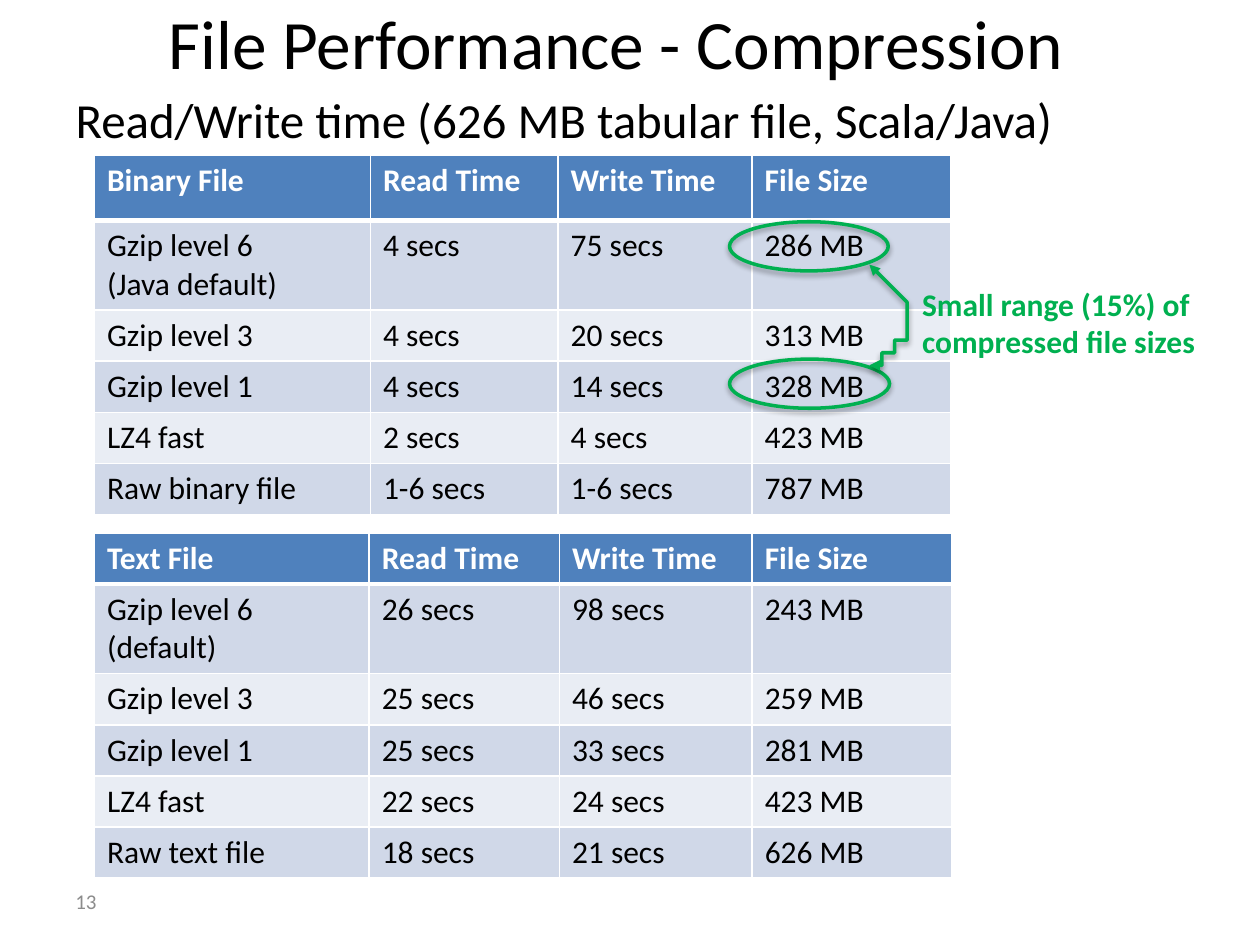
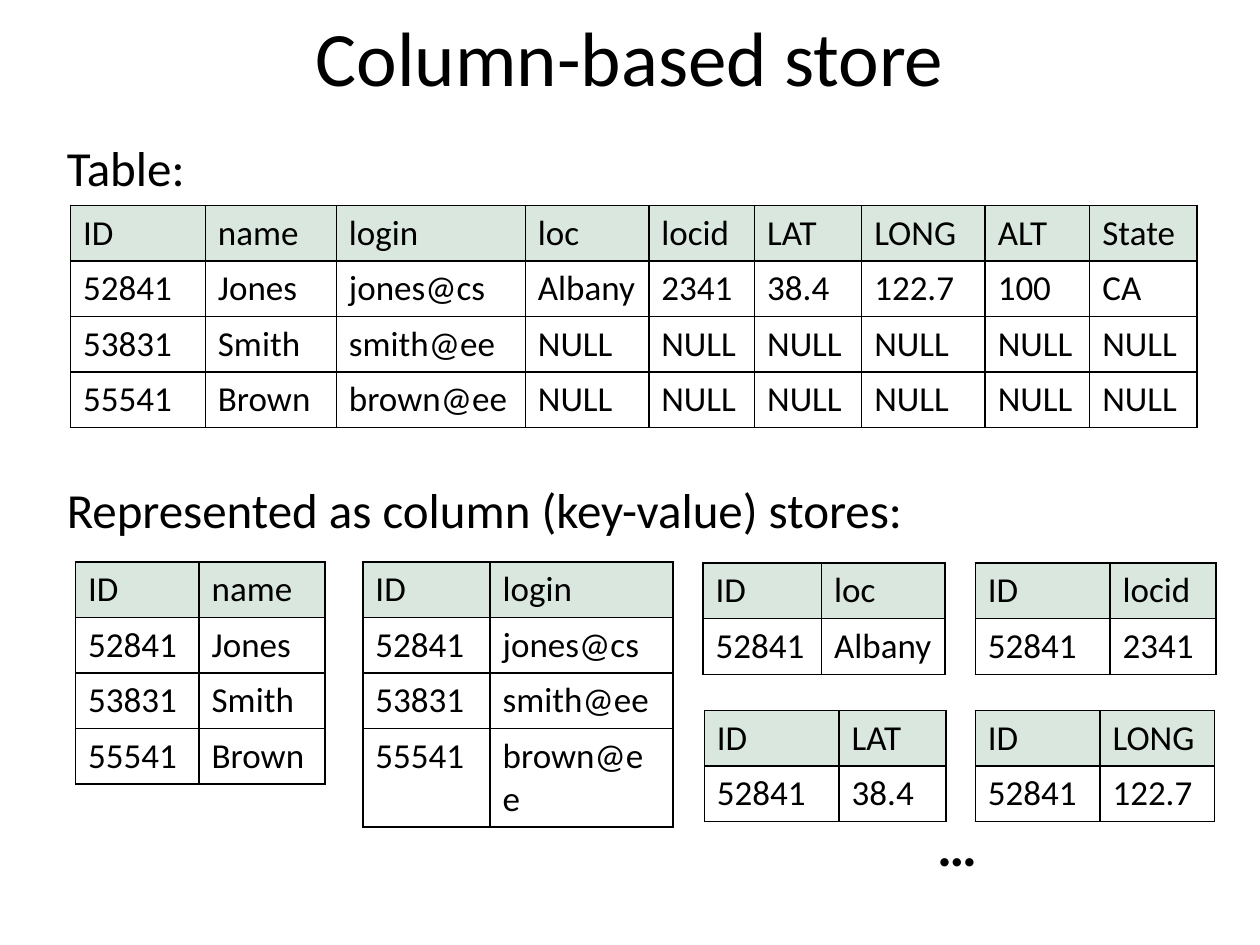
from dataclasses import dataclass

from lxml import etree
from pptx import Presentation
from pptx import util as u
from pptx.dml.color import RGBColor
from pptx.enum import shapes, text
from pptx.oxml import ns


@dataclass(frozen=True)
class Theme:
    font: str = "Calibri"
    black: str = "000000"
    white: str = "FFFFFF"
    grey: str = "8C8C8C"
    green: str = "00B050"
    blue: str = "4F81BD"
    bands: tuple = ("D0D8E8", "E9EDF4")
    mint: str = "D9E7DF"
    title: float = 44
    small_title: float = 39.6
    ellipsis: float = 32
    body: float = 28
    store_cell: float = 20
    cell: float = 18
    page: float = 12


theme = Theme()
presentation = Presentation()
presentation.slide_width, presentation.slide_height = u.Inches(10), u.Inches(7.5)
GRID = presentation.slide_width // 100  # the slide is 100 columns by 75 rows
title_and_content = presentation.slide_layouts[1]


def write_text(shape, value, size, color=theme.black, bold=False, box=None, align=None,
               anchor=None, wrap=True, indent=None, gap=0):
    """Fill a shape or cell with one paragraph per line of a list, or a single one.

    box is left, top, width, height in grid units; gap is the space between paragraphs.
    """
    if box:
        shape.left, shape.top, shape.width, shape.height = [round(n * GRID) for n in box]
        shape.text_frame.auto_size = text.MSO_AUTO_SIZE.NONE
        shape.text_frame.word_wrap = wrap
    frame = shape.text_frame
    if anchor is not None:
        frame.vertical_anchor = anchor
    for i, line in enumerate(value if isinstance(value, list) else [value]):
        paragraph = frame.add_paragraph() if i else frame.paragraphs[0]
        paragraph.text = line
        if indent is not None:
            properties = paragraph._p.get_or_add_pPr()
            properties.set("marL", str(round(indent * GRID)))
            properties.set("indent", "0")
            etree.SubElement(properties, ns.qn("a:buNone"))
        paragraph.space_before = u.Pt(gap if i else 0)
        if align is not None:
            paragraph.alignment = align
        font = paragraph.font
        font.name, font.size, font.bold = theme.font, u.Pt(size), bold
        font.color.rgb = RGBColor.from_string(color)


def draw_table(slide, left, top, widths, heights, rows, size, header_fill, header_color,
               header_bold, bands, line, header_line=1):
    """Add a table with its header filled and its body rows banded in turn."""
    frame = slide.shapes.add_table(
        len(rows), len(widths), round(left * GRID), round(top * GRID),
        round(sum(widths) * GRID), round(sum(heights) * GRID))
    table = frame.table
    for column, width in zip(table.columns, widths):
        column.width = round(width * GRID)
    for r, values in enumerate(rows):
        table.rows[r].height = round(heights[r] * GRID)
        fill = bands[(r - 1) % len(bands)] if r else header_fill
        for c, value in enumerate(values):
            cell = table.cell(r, c)
            write_text(cell, value, size, theme.black if r else header_color,
                       bold=header_bold and r == 0)
            cell.fill.solid()
            cell.fill.fore_color.rgb = RGBColor.from_string(fill)
            borders = {"lnL": 1, "lnR": 1, "lnT": header_line if r == 1 else 1,
                       "lnB": header_line if r == 0 else 1}
            for position, (side, points) in enumerate(borders.items()):
                border = etree.Element(ns.qn(f"a:{side}"), w=str(u.Pt(points)))
                solid = etree.SubElement(border, ns.qn("a:solidFill"))
                etree.SubElement(solid, ns.qn("a:srgbClr"), val=line)
                cell._tc.get_or_add_tcPr().insert(position, border)


# Slide 1: compression timings
slide = presentation.slides.add_slide(title_and_content)
write_text(slide.shapes.title, "File Performance - Compression", theme.small_title,
           box=(5, 0, 87.8, 6.6), align=text.PP_ALIGN.CENTER, anchor=text.MSO_ANCHOR.MIDDLE)
write_text(slide.placeholders[1], "Read/Write time (626 MB tabular file, Scala/Java)",
           theme.body, box=(5, 6.6, 90, 53.4), indent=0)
write_text(slide.shapes.add_textbox(0, 0, 0, 0), "13", theme.page, theme.grey,
           box=(5, 69.5, 23.3, 4), anchor=text.MSO_ANCHOR.MIDDLE)

measures = ["Read Time", "Write Time", "File Size"]
binary_rows = [
    ["Binary File", *measures],
    ["Gzip level 6\n(Java default)", "4 secs", "75 secs", "286 MB"],
    ["Gzip level 3", "4 secs", "20 secs", "313 MB"],
    ["Gzip level 1", "4 secs", "14 secs", "328 MB"],
    ["LZ4 fast", "2 secs", "4 secs", "423 MB"],
    ["Raw binary file", "1-6 secs", "1-6 secs", "787 MB"],
]
text_rows = [
    ["Text File", *measures],
    ["Gzip level 6 (default)", "26 secs", "98 secs", "243 MB"],
    ["Gzip level 3", "25 secs", "46 secs", "259 MB"],
    ["Gzip level 1", "25 secs", "33 secs", "281 MB"],
    ["LZ4 fast", "22 secs", "24 secs", "423 MB"],
    ["Raw text file", "18 secs", "21 secs", "626 MB"],
]
timing_style = dict(size=theme.cell, header_fill=theme.blue, header_color=theme.white,
                    header_bold=True, bands=theme.bands, line=theme.white, header_line=3)
for top, widths, header_height, rows in (
        (12.3, (21.9, 14.9, 15.4, 15.8), 5.2, binary_rows),
        (42.3, (21.8, 15.1, 15.3, 15.8), 4.06, text_rows)):
    draw_table(slide, 7.5, top, widths, [header_height, 7.1] + [4.06] * 4, rows,
               **timing_style)

size_marks = [
    slide.shapes.add_shape(shapes.MSO_SHAPE.OVAL, *[round(n * GRID) for n in box])
    for box in ((57.9, 17.6, 12.6, 3.9), (57.9, 28.5, 12.7, 3.9))]

# The range arrow bulges right: two cubic curves meeting at its middle
range_curves = [((69.2, 29.2), (70.7, 27.8), (72.3, 26.4), (72.2, 25)),
                ((72.2, 25), (72.2, 23.6), (70.5, 22.3), (68.9, 20.9))]
STEPS = 12
points = []
for curve in range_curves:
    for step in range(1, STEPS + 1):
        t = step / STEPS
        weights = ((1 - t) ** 3, 3 * t * (1 - t) ** 2, 3 * t ** 2 * (1 - t), t ** 3)
        points.append(tuple(sum(w * p[axis] for w, p in zip(weights, curve))
                            for axis in (0, 1)))
builder = slide.shapes.build_freeform(*range_curves[0][0], scale=GRID)
builder.add_line_segments(points, close=False)
range_arrow = builder.convert_to_shape()

# These three keep the soft shadow of the template's shape style
for shape in (*size_marks, range_arrow):
    shape.fill.background()
    shape.line.color.rgb = RGBColor.from_string(theme.green)
    shape.line.width = u.Pt(2)
for end in ("headEnd", "tailEnd"):
    etree.SubElement(range_arrow.line._get_or_add_ln(), ns.qn(f"a:{end}"), type="triangle")

write_text(slide.shapes.add_textbox(0, 0, 0, 0),
           "Small range (15%) of\ncompressed file sizes", theme.cell, theme.green,
           bold=True, box=(72.2, 22.1, 23.8, 7.1), wrap=False)

# Slide 2: a table and its column stores
slide = presentation.slides.add_slide(title_and_content)
write_text(slide.shapes.title, "Column-based store", theme.title, box=(5, 0, 90, 8.9),
           align=text.PP_ALIGN.CENTER, anchor=text.MSO_ANCHOR.MIDDLE)
write_text(slide.placeholders[1], ["Table:", "Represented as column (key-value) stores:"],
           theme.body, box=(3.7, 10.4, 92.7, 56.5), indent=0.6, gap=162)

NULL = "NULL"
people = [
    ["ID", "name", "login", "loc", "locid", "LAT", "LONG", "ALT", "State"],
    ["52841", "Jones", "jones@cs", "Albany", "2341", "38.4", "122.7", "100", "CA"],
    ["53831", "Smith", "smith@ee"] + [NULL] * 6,
    ["55541", "Brown", "brown@ee"] + [NULL] * 6,
]
store_style = dict(size=theme.store_cell, header_fill=theme.mint, header_color=theme.black,
                   header_bold=False, bands=[theme.white], line=theme.black)
ROW = 4.4
draw_table(slide, 5.6, 16.3, (10.7, 10.4, 15, 9.8, 8.4, 8.5, 9.8, 8.3, 8.5),
           [ROW] * len(people), people, **store_style)

column_stores = {
    "name": (6, 44.6, (9.8, 10)),
    "login": (28.8, 44.6, (10.1, 14.5)),
    "loc": (55.8, 44.7, (9.4, 9.8)),
    "locid": (77.4, 44.7, (10.7, 8.4)),
    "LAT": (55.9, 56.4, (10.7, 8.5)),
    "LONG": (77.4, 56.4, (9.9, 9.1)),
}
for name, (left, top, widths) in column_stores.items():
    column = people[0].index(name)
    rows = [(row[0], row[column]) for row in people if row[column] != NULL]
    draw_table(slide, left, top, widths, [ROW] * len(rows), rows, **store_style)

write_text(slide.shapes.add_textbox(0, 0, 0, 0), "…", theme.ellipsis, bold=True,
           box=(73.4, 63.8, 5.2, 6.4), wrap=False)

presentation.save("out.pptx")
